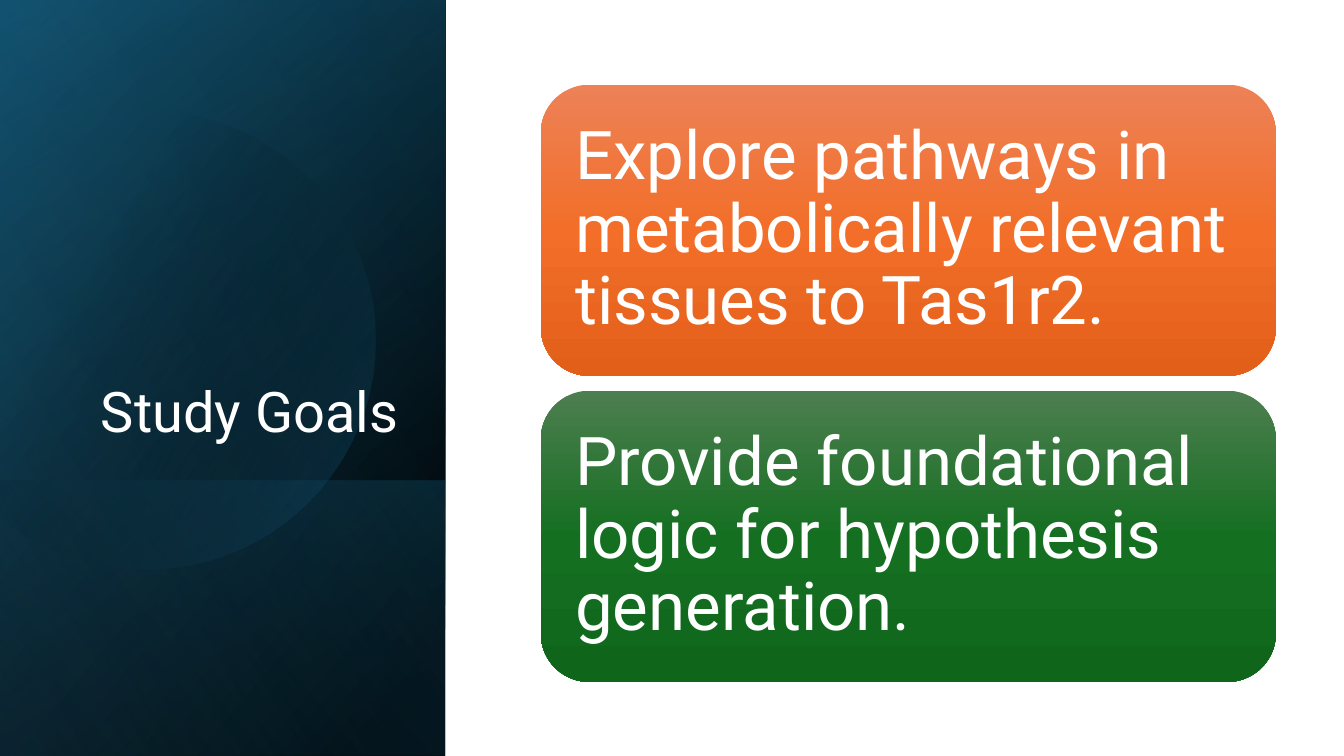
from math import acos, cos, sin, tan

from lxml import etree
from pptx import Presentation
from pptx.dml.color import RGBColor
from pptx.enum.shapes import MSO_SHAPE
from pptx.enum.text import MSO_ANCHOR, PP_ALIGN
from pptx.oxml.ns import qn
from pptx.util import Pt

RECTANGLE, ROUNDED = MSO_SHAPE.RECTANGLE, MSO_SHAPE.ROUNDED_RECTANGLE
MIDDLE, BOTTOM = MSO_ANCHOR.MIDDLE, MSO_ANCHOR.BOTTOM
LEFT, RIGHT = PP_ALIGN.LEFT, PP_ALIGN.RIGHT

SLIDE_W, SLIDE_H = 960, 540
HEADING = "Study Goals"
GOALS = [
    ("Explore pathways in metabolically relevant tissues to Tas1r2.",
     ["ED8257", "F26E29", "E25F1A"]),
    ("Provide foundational logic for hypothesis generation.",
     ["4D7E50", "156F21", "0F661B"]),
]

PANEL_W = 318
BAND_TOP = 343
PANEL_LAYERS = [
    (0, 220, [(8, "000000", 100), (100, "104862", 100)]),
    (0, 240, [(0, "000000", 0), (99, "156082", 46)]),
    (BAND_TOP, 140, [(2, "156082", 29), (100, "000000", 30)]),
]
DISC_X, DISC_Y, DISC_R = 104.5, 243, 164
DISC_ARCS = 4
DISC_ANGLE = 30
DISC_STOPS = [(29, "000000", 0), (100, "156082", 43)]
SHEEN_LAYER = (0, 150, [(0, "000000", 0), (99, "46B1E1", 11)])

CARD_LEFT, CARD_TOP, CARD_W, CARD_H, CARD_GAP = 386.3, 60.5, 525, 208, 10.6
CARD_INSET = 14.4


def color(value):
    return RGBColor.from_string(value)


def paint(shape, angle, stops):
    shape.shadow.inherit = False
    shape.line.fill.background()
    shape.fill.gradient()
    gradient = shape.fill._fill._gradFill
    for child in list(gradient):
        gradient.remove(child)
    stop_list = etree.SubElement(gradient, qn("a:gsLst"))
    for position, value, opacity in stops:
        stop = etree.SubElement(stop_list, qn("a:gs"), pos=str(position * 1000))
        tint = etree.SubElement(stop, qn("a:srgbClr"), val=str(color(value)))
        if opacity < 100:
            etree.SubElement(tint, qn("a:alpha"), val=str(opacity * 1000))
    etree.SubElement(gradient, qn("a:lin"), ang=str(angle * 60000), scaled="0")


def write(shape, text, size, align, anchor, inset=None):
    frame = shape.text_frame
    frame.word_wrap = True
    frame.vertical_anchor = anchor
    if inset is not None:
        frame.margin_left = frame.margin_right = Pt(inset)
        frame.margin_top = frame.margin_bottom = Pt(inset)
    paragraph = frame.paragraphs[0]
    paragraph.alignment = align
    paragraph.line_spacing = 0.9
    run = paragraph.add_run()
    run.text = text
    run.font.name = "Roboto"
    run.font.size = Pt(size)
    run.font.color.rgb = color("FFFFFF")


def add_layer(shapes, top, angle, stops):
    layer = shapes.add_shape(RECTANGLE, Pt(0), Pt(top), Pt(PANEL_W), Pt(SLIDE_H - top))
    paint(layer, angle, stops)


def disc_point(turn, pull=0):
    return (Pt(DISC_X + DISC_R * (cos(turn) - pull * sin(turn))),
            Pt(DISC_Y + DISC_R * (sin(turn) + pull * cos(turn))))


def add_disc(shapes):
    reach = acos(-DISC_X / DISC_R)
    sweep = 2 * reach / DISC_ARCS
    pull = 4 / 3 * tan(sweep / 4)
    handles = []
    for arc in range(DISC_ARCS):
        start = arc * sweep - reach
        end = start + sweep
        handles += [disc_point(start, pull), disc_point(end, -pull), disc_point(end)]
    outline = shapes.build_freeform(*disc_point(-reach))
    outline.add_line_segments(handles, close=True)
    disc = outline.convert_to_shape()
    segments = list(disc._element.iter(qn("a:lnTo")))
    for first in range(0, len(segments), 3):
        curve = etree.Element(qn("a:cubicBezTo"))
        segments[first].addprevious(curve)
        for segment in segments[first:first + 3]:
            curve.append(segment[0])
            segment.getparent().remove(segment)
    paint(disc, DISC_ANGLE, DISC_STOPS)


def main():
    deck = Presentation()
    deck.slide_width, deck.slide_height = Pt(SLIDE_W), Pt(SLIDE_H)
    slide = deck.slides.add_slide(deck.slide_layouts[5])
    shapes = slide.shapes
    heading = shapes.title

    for layer in PANEL_LAYERS:
        add_layer(shapes, *layer)
    add_disc(shapes)
    add_layer(shapes, *SHEEN_LAYER)

    shapes._spTree.append(heading._element)
    heading.left, heading.top = Pt(46), Pt(132.5)
    heading.width, heading.height = Pt(245.5), Pt(188.5)
    write(heading, HEADING, 40, RIGHT, BOTTOM)

    for row, (goal, shades) in enumerate(GOALS):
        top = CARD_TOP + row * (CARD_H + CARD_GAP)
        card = shapes.add_shape(ROUNDED, Pt(CARD_LEFT), Pt(top), Pt(CARD_W), Pt(CARD_H))
        paint(card, 90, [(50 * place, shade, 100) for place, shade in enumerate(shades)])
        write(card, goal, 48, LEFT, MIDDLE, CARD_INSET)

    deck.save("out.pptx")


if __name__ == "__main__":
    main()
